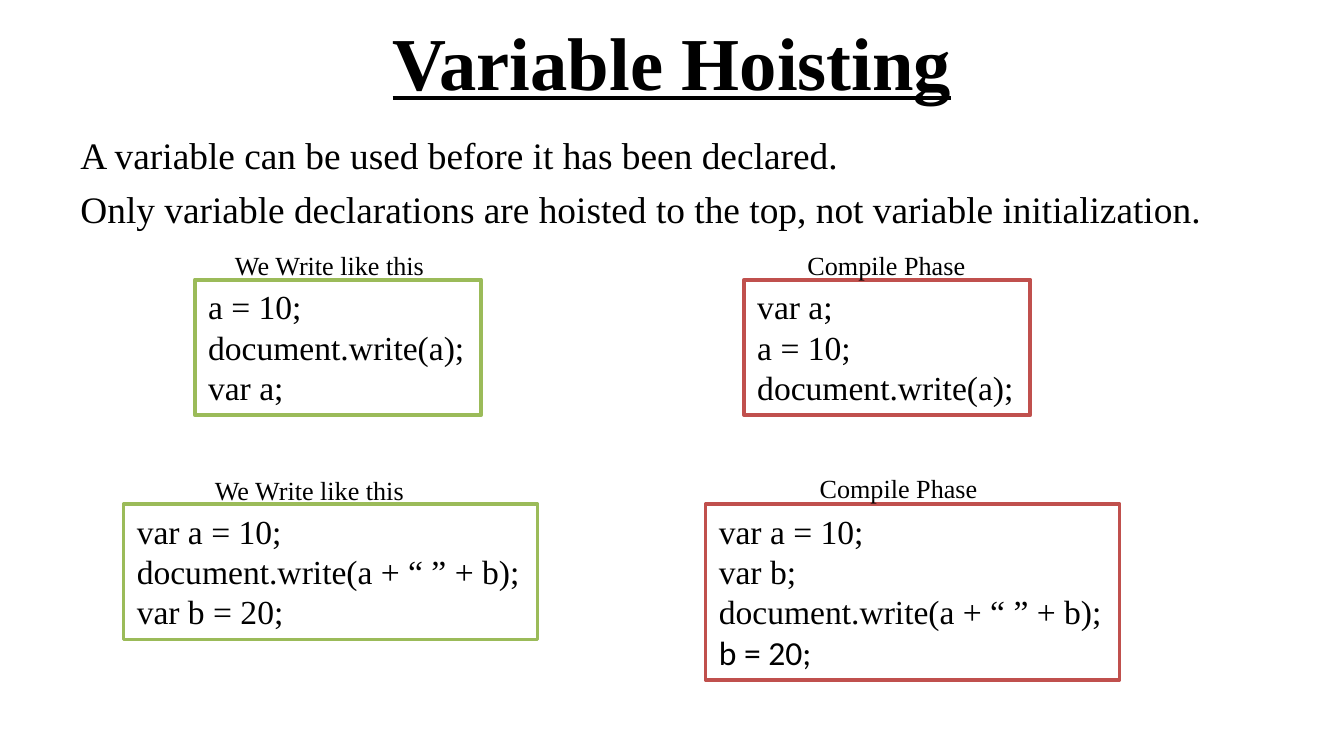
import pptx
import pptx.util
import pptx.dml.color
import pptx.enum.shapes
import pptx.enum.text

Pt = pptx.util.Pt
SERIF = "Times New Roman"
GREEN, RED = "9BBB59", "C0504D"


def color(value):
    return pptx.dml.color.RGBColor.from_string(value)


def write_lines(shape, lines, size, fonts=()):
    frame = shape.text_frame
    frame.text = "\n".join(lines)
    for index, paragraph in enumerate(frame.paragraphs):
        paragraph.alignment = pptx.enum.text.PP_ALIGN.LEFT
        paragraph.font.name = fonts[index] if fonts else SERIF
        paragraph.font.size = Pt(size)
        paragraph.font.color.rgb = color("000000")
    return frame


presentation = pptx.Presentation()
presentation.slide_width = Pt(720)
presentation.slide_height = Pt(405)
slide = presentation.slides.add_slide(presentation.slide_layouts[6])

title = slide.shapes.add_textbox(Pt(36), Pt(-1.5), Pt(648), Pt(67.5))
frame = write_lines(title, ["Variable Hoisting"], 40)
frame.word_wrap = True
frame.vertical_anchor = pptx.enum.text.MSO_ANCHOR.MIDDLE
heading = frame.paragraphs[0]
heading.alignment = pptx.enum.text.PP_ALIGN.CENTER
heading.font.bold = True
heading.font.underline = True

body = slide.shapes.add_textbox(Pt(36), Pt(65), Pt(648), Pt(60))
frame = write_lines(body, [
    "A variable can be used before it has been declared.",
    "Only variable declarations are hoisted to the top, not variable initialization.",
], 20)
frame.word_wrap = True
frame.margin_top = Pt(6)
frame.paragraphs[1].space_before = Pt(4.8)

examples = [
    ("We Write like this", 118.8, 130.3, 116.6, GREEN, 104.4, 149.8, 153.4,
     ["a = 10;", "document.write(a);", "var a;"], ()),
    ("Compile Phase", 425.5, 130, 100, RED, 398.6, 149.8, 153.4,
     ["var a;", "a = 10;", "document.write(a);"], ()),
    ("We Write like this", 108, 250.4, 116.6, GREEN, 66.2, 270, 221.8,
     ["var a = 10;", "document.write(a + “ ” + b);", "var b = 20;"], ()),
    ("Compile Phase", 432, 249.6, 100, RED, 378, 270, 221.8,
     ["var a = 10;", "var b;", "document.write(a + “ ” + b);", "b = 20;"],
     (SERIF, SERIF, SERIF, "Calibri")),
]

for caption, caption_left, caption_top, caption_width, outline, left, top, width, code, fonts in examples:
    box = slide.shapes.add_shape(
        pptx.enum.shapes.MSO_SHAPE.RECTANGLE,
        Pt(left), Pt(top), Pt(width), Pt(7.8 + 21.6 * len(code)))
    box.shadow.inherit = False
    box.fill.solid()
    box.fill.fore_color.rgb = color("FFFFFF")
    box.line.color.rgb = color(outline)
    box.line.width = Pt(2)
    frame = write_lines(box, code, 18, fonts)
    frame.word_wrap = False
    frame.vertical_anchor = pptx.enum.text.MSO_ANCHOR.TOP

    label = slide.shapes.add_textbox(
        Pt(caption_left), Pt(caption_top), Pt(caption_width), Pt(24.2))
    write_lines(label, [caption], 14).word_wrap = False

presentation.save("out.pptx")
